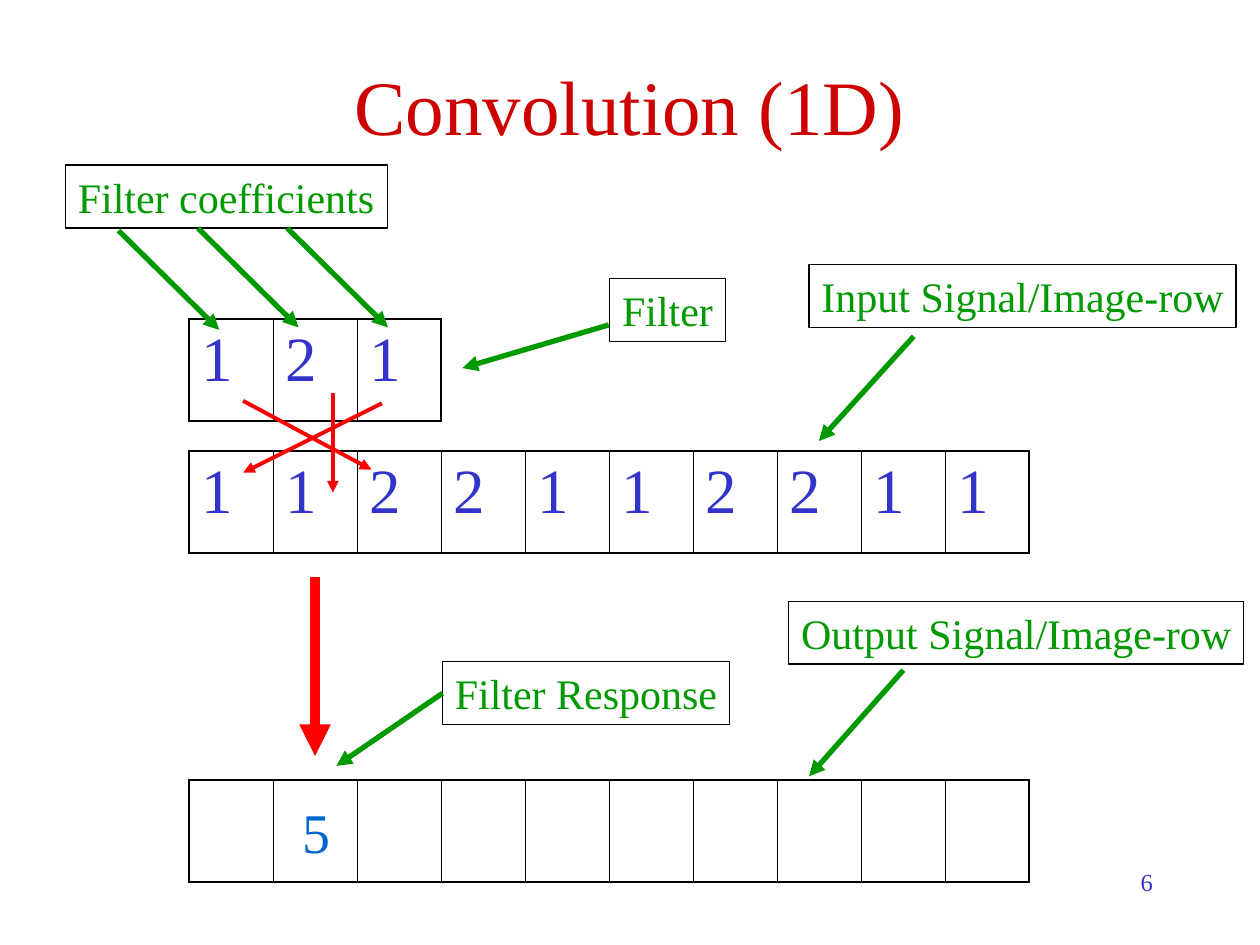
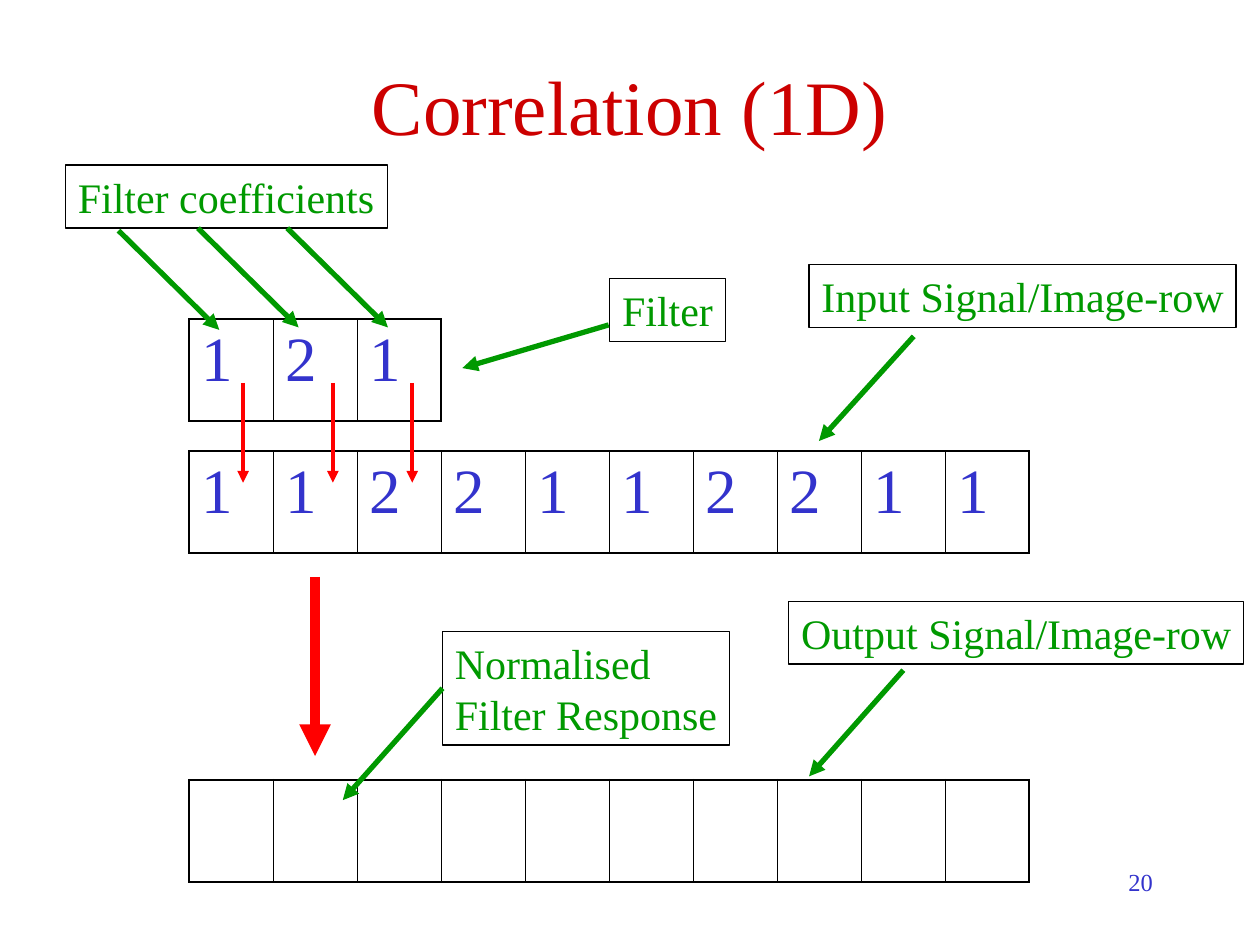
from dataclasses import dataclass

from lxml import etree
from pptx import Presentation
from pptx import util as u
from pptx.dml.color import RGBColor
from pptx.enum import shapes, text
from pptx.oxml import ns

FONT = "Times New Roman"
TITLE_RED = RGBColor(0xCC, 0x00, 0x00)
ARROW_RED = RGBColor(0xFF, 0x00, 0x00)
GREEN = RGBColor(0x00, 0x99, 0x00)
BLUE = RGBColor(0x33, 0x33, 0xCC)
RESULT_BLUE = RGBColor(0x00, 0x66, 0xCC)
BLACK = RGBColor(0x00, 0x00, 0x00)

OUTER_BORDER = 1.08
INNER_BORDER = 0.45
LABEL_HEIGHT = 1.27
COEFFICIENT_STEP = (2.03, 2)


@dataclass
class Box:
    left: float
    top: float
    width: float
    height: float

    def point(self, offset):
        return self.left + offset[0], self.top + offset[1]

    def inner(self, offset, width, height):
        return Box(*self.point(offset), width, height)

    def lengths(self):
        return [u.Cm(n) for n in (self.left, self.top, self.width, self.height)]


TITLE_BOX = Box(1.9, 0.53, 21.59, 3.18)
FILTER_BOX = Box(3.81, 6.43, 5.08, 2.06)
INPUT_BOX = Box(3.81, 9.09, 16.93, 2.06)
OUTPUT_BOX = Box(3.81, 15.72, 16.93, 2.06)
NUMBER_BOX = Box(18.21, 17.35, 5.28, 1.27)

FILTER_VALUES = "121"
INPUT_VALUES = "1122112211"


def write(para, words, size, colour):
    span = para.add_run()
    span.text = words
    span.font.name = FONT
    span.font.size = u.Pt(size)
    span.font.color.rgb = colour


def add_arrow(page, box, start, end, colour=GREEN, width=3):
    ends = [u.Cm(n) for n in box.point(start) + box.point(end)]
    arrow = page.shapes.add_connector(shapes.MSO_CONNECTOR.STRAIGHT, *ends)
    arrow.line.color.rgb = colour
    arrow.line.width = u.Pt(width)
    etree.SubElement(arrow.get_or_add_ln(), ns.qn("a:tailEnd"), type="triangle")
    etree.SubElement(arrow.element.spPr, ns.qn("a:effectLst"))
    return arrow


def add_label(page, box, *lines):
    label = page.shapes.add_shape(shapes.MSO_SHAPE.RECTANGLE, *box.lengths())
    label.shadow.inherit = False
    label.fill.background()
    label.line.color.rgb = BLACK
    label.line.width = u.Pt(0.75)
    frame = label.text_frame
    frame.word_wrap = False
    frame.vertical_anchor = text.MSO_ANCHOR.TOP
    for index, words in enumerate(lines):
        para = frame.add_paragraph() if index else frame.paragraphs[0]
        para.alignment = text.PP_ALIGN.LEFT
        write(para, words, 24, GREEN)
    return label


def add_text(page, box, words, size, colour, alignment):
    frame = page.shapes.add_textbox(*box.lengths()).text_frame
    frame.word_wrap = True
    para = frame.paragraphs[0]
    para.alignment = alignment
    write(para, words, size, colour)


def set_borders(cell, widths):
    properties = cell._tc.get_or_add_tcPr()
    for index, (side, width) in enumerate(widths.items()):
        line = etree.Element(ns.qn(f"a:ln{side}"), w=str(u.Pt(width)))
        fill = etree.SubElement(line, ns.qn("a:solidFill"))
        etree.SubElement(fill, ns.qn("a:srgbClr"), val=str(BLACK))
        properties.insert(index, line)


def add_cells(page, box, values):
    count = len(values)
    table = page.shapes.add_table(1, count, *box.lengths()).table
    table.first_row = False
    table.horz_banding = False
    for index, value in enumerate(values):
        table.columns[index].width = u.Cm(box.width / count)
        cell = table.cell(0, index)
        cell.fill.background()
        set_borders(cell, {
            "L": INNER_BORDER if index else OUTER_BORDER,
            "R": INNER_BORDER if index < count - 1 else OUTER_BORDER,
            "T": OUTER_BORDER,
            "B": OUTER_BORDER,
        })
        if value.strip():
            para = cell.text_frame.paragraphs[0]
            para.space_before = u.Pt(9)
            write(para, value, 36, BLUE)


def add_title(page, box, words):
    title = page.shapes.title
    title.left, title.top, title.width, title.height = box.lengths()
    frame = title.text_frame
    frame.vertical_anchor = text.MSO_ANCHOR.MIDDLE
    para = frame.paragraphs[0]
    para.alignment = text.PP_ALIGN.CENTER
    write(para, words, 44, TITLE_RED)


def add_filter(page, box, pairings):
    add_cells(page, box, FILTER_VALUES)
    add_label(page, box.inner((8.48, -0.82), 2.34, LABEL_HEIGHT), "Filter")
    add_arrow(page, box, (8.46, 0.12), (5.51, 0.99))
    add_label(page, box.inner((-2.49, -3.1), 6.5, LABEL_HEIGHT), "Filter coefficients")
    for left, top in ((-1.42, -1.78), (0.18, -1.83), (1.98, -1.83)):
        end = left + COEFFICIENT_STEP[0], top + COEFFICIENT_STEP[1]
        add_arrow(page, box, (left, top), end)
    for start, end in pairings:
        add_arrow(page, box, start, end, ARROW_RED, 2.25)


def add_input(page, box):
    add_cells(page, box, INPUT_VALUES)
    add_label(page, box.inner((12.5, -3.76), 8.61, LABEL_HEIGHT), "Input Signal/Image-row")
    add_arrow(page, box, (14.61, -2.31), (12.7, -0.2))


def add_output(page, box, response, response_top, response_height, tip, result):
    add_cells(page, box, " " * len(INPUT_VALUES))
    add_label(page, box.inner((12.09, -3.6), 9.17, LABEL_HEIGHT), "Output Signal/Image-row")
    add_arrow(page, box, (14.4, -2.21), (12.5, -0.07))
    add_arrow(page, box, (2.54, -4.09), (2.54, -0.48), ARROW_RED, 6)
    corner = (5.11, response_top)
    label = add_label(page, box.inner(corner, 5.79, response_height), *response)
    add_arrow(page, box, corner, tip).begin_connect(label, 1)
    if result:
        add_text(page, box.inner((2.03, 0.23), 1.07, 1.63), result, 32,
                 RESULT_BLUE, text.PP_ALIGN.LEFT)


def add_filtering_slide(deck, title, number, pairings, **output):
    page = deck.slides.add_slide(deck.slide_layouts[5])
    add_title(page, TITLE_BOX, title)
    add_input(page, INPUT_BOX)
    add_output(page, OUTPUT_BOX, **output)
    add_filter(page, FILTER_BOX, pairings)
    add_text(page, NUMBER_BOX, number, 14, BLUE, text.PP_ALIGN.RIGHT)


def main():
    deck = Presentation()
    deck.slide_width = u.Cm(25.4)
    deck.slide_height = u.Cm(19.05)
    crossed = [((1.09, 1.65), (3.68, 3.04)),
               ((2.9, 1.49), (2.9, 3.5)),
               ((3.89, 1.7), (1.09, 3.1))]
    straight = [((left, 1.29), (left, 3.3)) for left in (1.09, 2.9, 4.5)]
    add_filtering_slide(deck, "Convolution (1D)", "6", crossed,
                        response=["Filter Response"], response_top=-2.38,
                        response_height=LABEL_HEIGHT, tip=(2.97, -0.28), result="5")
    add_filtering_slide(deck, "Correlation (1D)", "20", straight,
                        response=["Normalised", "Filter Response"], response_top=-2.99,
                        response_height=2.29, tip=(3.1, 0.41), result="")
    deck.save("out.pptx")


if __name__ == "__main__":
    main()
